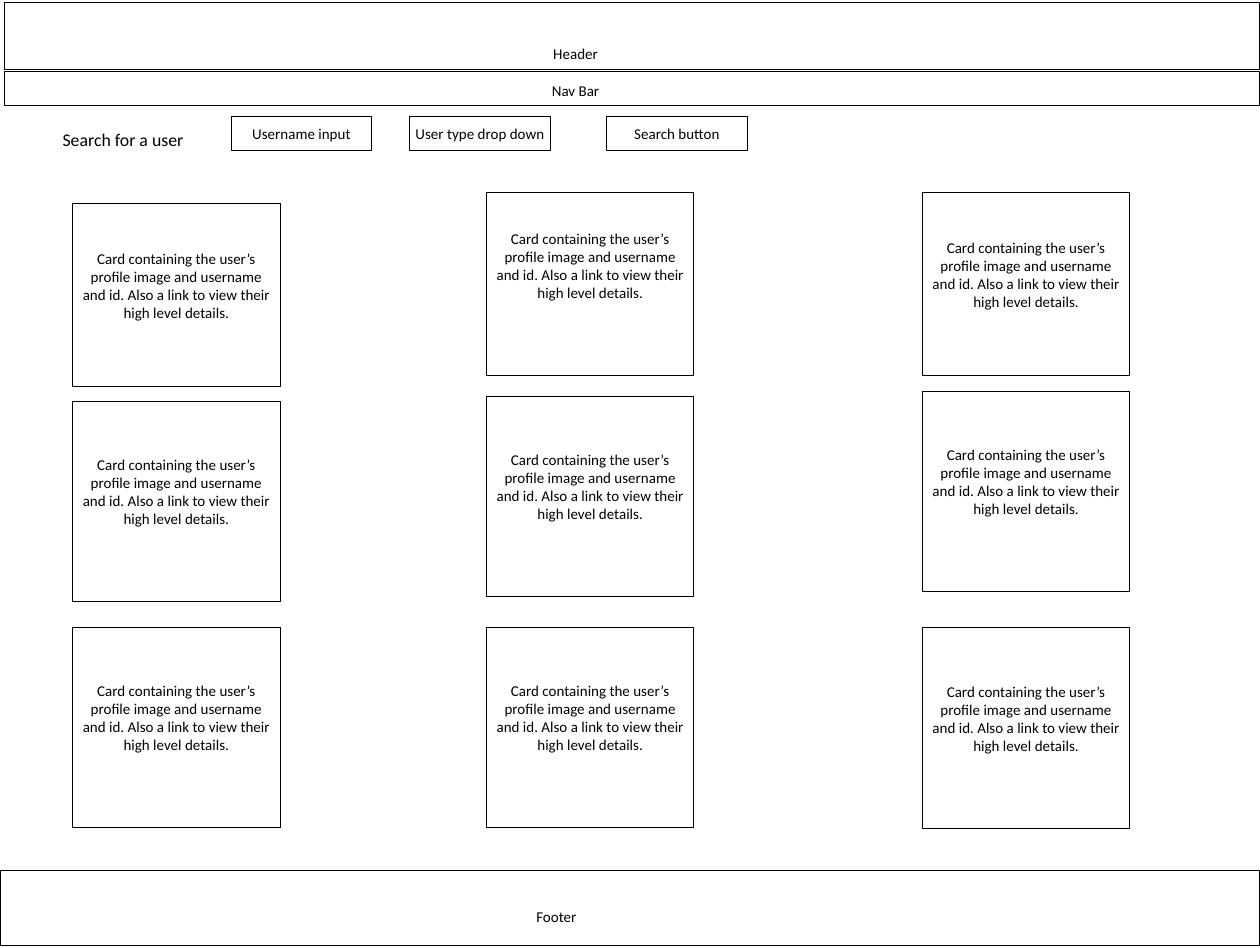
from dataclasses import dataclass

from pptx import Presentation
from pptx.dml.color import RGBColor
from pptx.enum.shapes import MSO_SHAPE
from pptx.enum.text import MSO_ANCHOR, PP_ALIGN
from pptx.util import Inches, Pt


@dataclass(frozen=True)
class Theme:
    ink: RGBColor = RGBColor(0, 0, 0)
    font: str = "Calibri"
    body: float = 15.2
    title: float = 18
    border: float = 1


THEME = Theme()
CARD_TEXT = (
    "Card containing the user’s profile image and username and id. "
    "Also a link to view their high level details."
)
CARD_WIDTH = 2.92
CARD_HEIGHTS = (2.57, 2.82, 2.82)
CARD_COLUMNS = (
    (1.02, (2.86, 5.64, 8.82), (0.3, 0.31, 0.31)),
    (6.84, (2.71, 5.57, 8.82), (0.56, 0.31, 0.31)),
    (12.97, (2.71, 5.5, 8.83), (0.3, 0.31, 0.31)),
)
BARS = (
    ("Header", (0.07, 0.04, 17.65, 0.94), (5.61, 0.57)),
    ("Nav Bar", (0.07, 1, 17.65, 0.48), (5.61, 1.09)),
    ("Footer", (0, 12.24, 17.72, 1.05), (5.34, 12.71)),
)
CONTROLS = (
    ("Username input", 3.25),
    ("User type drop down", 5.76),
    ("Search button", 8.53),
)


def write(frame, text, size):
    para = frame.paragraphs[0]
    para.alignment = PP_ALIGN.CENTER
    span = para.add_run()
    span.text = text
    span.font.name = THEME.font
    span.font.size = Pt(size)
    span.font.color.rgb = THEME.ink


def add_outline(page, left, top, width, height):
    box = page.shapes.add_shape(
        MSO_SHAPE.RECTANGLE, Inches(left), Inches(top), Inches(width), Inches(height)
    )
    box.shadow.inherit = False
    box.fill.background()
    box.line.color.rgb = THEME.ink
    box.line.width = Pt(THEME.border)
    return box


def add_text_outline(page, text, left, top, width, height, bottom_margin=0.04):
    frame = add_outline(page, left, top, width, height).text_frame
    frame.word_wrap = True
    frame.vertical_anchor = MSO_ANCHOR.MIDDLE
    frame.margin_left = frame.margin_right = Inches(0.08)
    frame.margin_top = Inches(0.04)
    frame.margin_bottom = Inches(bottom_margin)
    write(frame, text, THEME.body)


def add_label(page, text, left, top, width, height, size, wrap=True):
    box = page.shapes.add_textbox(
        Inches(left), Inches(top), Inches(width), Inches(height)
    )
    box.text_frame.word_wrap = wrap
    write(box.text_frame, text, size)


def main():
    deck = Presentation()
    deck.slide_width = Inches(17.72)
    deck.slide_height = Inches(13.33)
    page = deck.slides.add_slide(deck.slide_layouts[6])

    for name, bounds, (left, top) in BARS:
        add_outline(page, *bounds)
        add_label(page, name, left, top, 4.97, 0.36, THEME.body)

    add_label(page, "Search for a user", 0.77, 1.76, 1.92, 0.4, THEME.title, wrap=False)
    for name, left in CONTROLS:
        add_text_outline(page, name, left, 1.64, 1.98, 0.48)

    for left, tops, margins in CARD_COLUMNS:
        for top, height, margin in zip(tops, CARD_HEIGHTS, margins):
            add_text_outline(page, CARD_TEXT, left, top, CARD_WIDTH, height, margin)

    deck.save("out.pptx")


if __name__ == "__main__":
    main()
